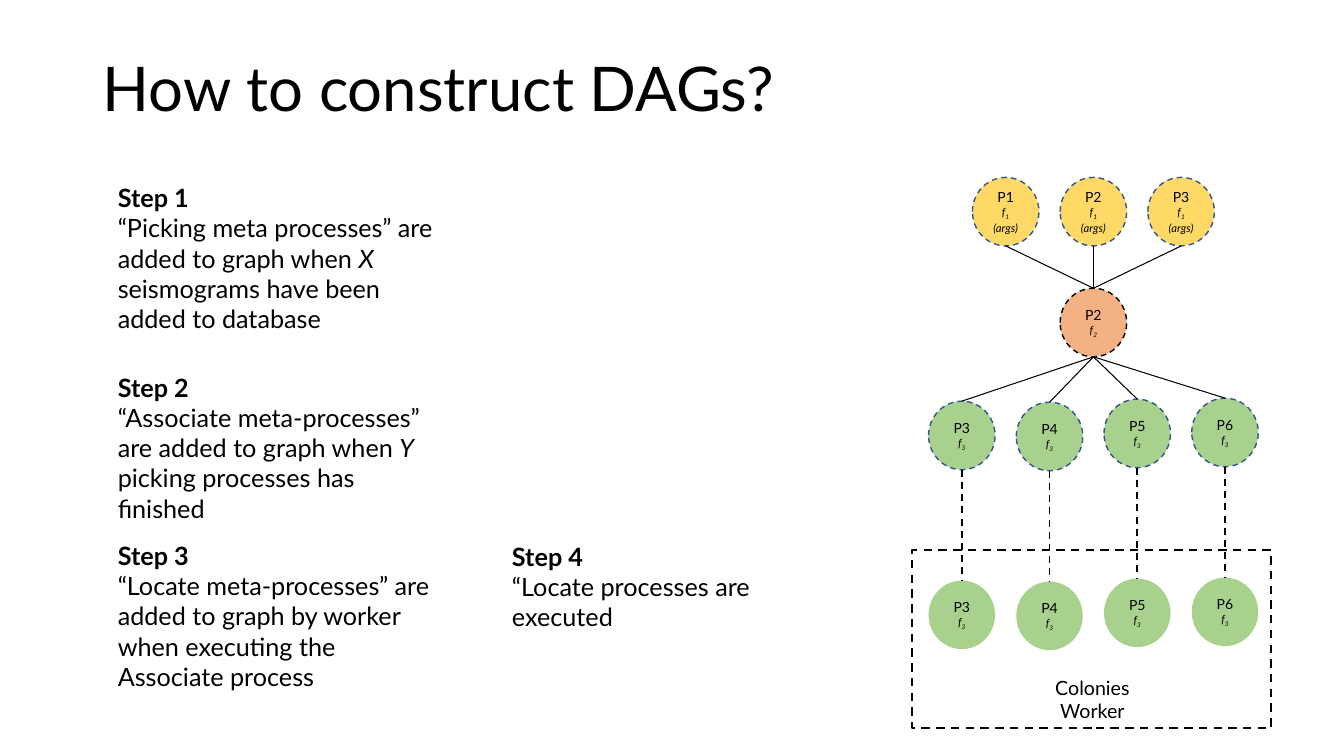
from collections import namedtuple

from lxml.etree import SubElement
from pptx import Presentation
from pptx.dml.color import RGBColor
from pptx.enum.dml import MSO_LINE
from pptx.enum.shapes import MSO_CONNECTOR, MSO_SHAPE
from pptx.enum.text import MSO_ANCHOR, MSO_AUTO_SIZE, PP_ALIGN
from pptx.oxml.ns import qn
from pptx.util import Inches, Pt

Box = namedtuple("Box", "left top width height")

FONT = "Lato"
BLACK, BLUE = "000000", "325491"
YELLOW, ORANGE, GREEN = "FFD966", "F4B183", "A9D18E"
NODE_WIDTH, NODE_HEIGHT = 0.66, 0.68
COLUMN_PITCH = 0.87
SUBSCRIPT = "-25000"

STEPS = [
    (Box(1.07, 1.76, 3.33, 1.62), "Step 1",
     ["“Picking meta processes” are added to graph when ", "X",
      " seismograms have been added to database"]),
    (Box(1.07, 3.64, 3.33, 1.62), "Step 2",
     ["“Associate meta-processes” are added to graph when ", "Y ",
      "picking processes has finished"]),
    (Box(1.07, 5.31, 3.33, 1.62), "Step 3",
     ["“Locate meta-processes” are added to graph by worker "
      "when executing the Associate process"]),
    (Box(4.98, 5.32, 3.33, 1.01), "Step 4", ["“Locate processes are executed"]),
]


def color(value):
    return RGBColor.from_string(value)


def inches(box):
    return [Inches(length) for length in box]


def style_run(run, size, bold=False, italic=False):
    run.font.name = FONT
    run.font.size = Pt(size)
    run.font.bold = bold
    run.font.italic = italic
    run.font.color.rgb = color(BLACK)


def add_run(paragraph, text, size, bold=False, italic=False):
    run = paragraph.add_run()
    run.text = text
    style_run(run, size, bold, italic)
    return run


def style_line(line, line_color, width, dashed):
    line.color.rgb = color(line_color)
    line.width = Pt(width)
    if dashed:
        line.dash_style = MSO_LINE.DASH


def add_title(slide, box, text):
    title = slide.shapes.title
    title.left, title.top, title.width, title.height = inches(box)
    title.text_frame.text = text
    title.text_frame.vertical_anchor = MSO_ANCHOR.MIDDLE
    paragraph = title.text_frame.paragraphs[0]
    paragraph.alignment = PP_ALIGN.LEFT
    paragraph.line_spacing = 0.9
    style_run(paragraph.runs[0], 44)


def add_step(slide, box, heading, parts):
    frame = slide.shapes.add_textbox(*inches(box)).text_frame
    frame.word_wrap = True
    frame.auto_size = MSO_AUTO_SIZE.SHAPE_TO_FIT_TEXT
    add_run(frame.paragraphs[0], heading, 18, bold=True)
    body = frame.add_paragraph()
    for index, part in enumerate(parts):
        add_run(body, part, 18, italic=index % 2 == 1)


def add_node(slide, left, top, name, function, fill, line_color=None, arguments=""):
    box = Box(left, top, NODE_WIDTH, NODE_HEIGHT)
    node = slide.shapes.add_shape(MSO_SHAPE.OVAL, *inches(box))
    node.shadow.inherit = False
    node.fill.solid()
    node.fill.fore_color.rgb = color(fill)
    if line_color:
        style_line(node.line, line_color, 1, dashed=True)
    else:
        node.line.fill.background()
    frame = node.text_frame
    frame.word_wrap = True
    frame.vertical_anchor = MSO_ANCHOR.MIDDLE
    label, call = frame.paragraphs[0], frame.add_paragraph()
    label.alignment = call.alignment = PP_ALIGN.CENTER
    add_run(label, name, 10)
    add_run(call, "f", 8, italic=True)
    index = add_run(call, function + (" " if arguments else ""), 8, italic=True)
    index.font._element.set("baseline", SUBSCRIPT)
    if arguments:
        add_run(call, arguments, 8, italic=True)
    return node


def link(slide, upper, lower, width=0.75, dashed=False):
    connector = slide.shapes.add_connector(
        MSO_CONNECTOR.STRAIGHT,
        upper.left + upper.width // 2, upper.top + upper.height,
        lower.left + lower.width // 2, lower.top)
    style_line(connector.line, BLACK, width, dashed)
    SubElement(connector._element.spPr, qn("a:effectLst"))


def add_worker(slide, box):
    frame = slide.shapes.add_shape(MSO_SHAPE.RECTANGLE, *inches(box))
    frame.shadow.inherit = False
    frame.fill.background()
    style_line(frame.line, BLACK, 1.5, dashed=True)
    caption_box = Box(box.left + 1.03, box.top + 1.33, 1.51, 0.29)
    caption = slide.shapes.add_textbox(*inches(caption_box)).text_frame
    caption.word_wrap = True
    caption.vertical_anchor = MSO_ANCHOR.MIDDLE
    caption.text = "Colonies Worker"
    caption.paragraphs[0].alignment = PP_ALIGN.CENTER
    style_run(caption.paragraphs[0].runs[0], 14)


def add_graph(slide, box):
    columns = [box.left + 0.16 + COLUMN_PITCH * index for index in range(4)]
    middles = [left + COLUMN_PITCH / 2 for left in columns[:3]]
    add_worker(slide, Box(box.left, box.top + 3.7, box.width, box.height - 3.7))

    associate = add_node(slide, middles[1], box.top + 1.1, "P2", "2", ORANGE, BLACK)
    for number, left in enumerate(middles, 1):
        picking = add_node(slide, left, box.top, f"P{number}", "1", YELLOW, BLUE, "(args)")
        link(slide, picking, associate)

    tops = [2.22, 2.23, 2.2, 2.19]
    for number, (left, top) in enumerate(zip(columns, tops), 3):
        planned = add_node(slide, left, box.top + top, f"P{number}", "3", GREEN, BLUE)
        executed = add_node(slide, left, box.top + top + 1.78, f"P{number}", "3", GREEN)
        link(slide, associate, planned)
        link(slide, planned, executed, 1.25, dashed=True)


def main():
    presentation = Presentation()
    presentation.slide_width = Inches(13.33)
    presentation.slide_height = Inches(7.5)
    slide = presentation.slides.add_slide(presentation.slide_layouts[5])
    add_title(slide, Box(0.92, 0.4, 8.18, 1.01), "How to construct DAGs?")
    for box, heading, parts in STEPS:
        add_step(slide, box, heading, parts)
    add_graph(slide, Box(9.05, 1.76, 3.56, 5.46))
    presentation.save("out.pptx")


if __name__ == "__main__":
    main()
